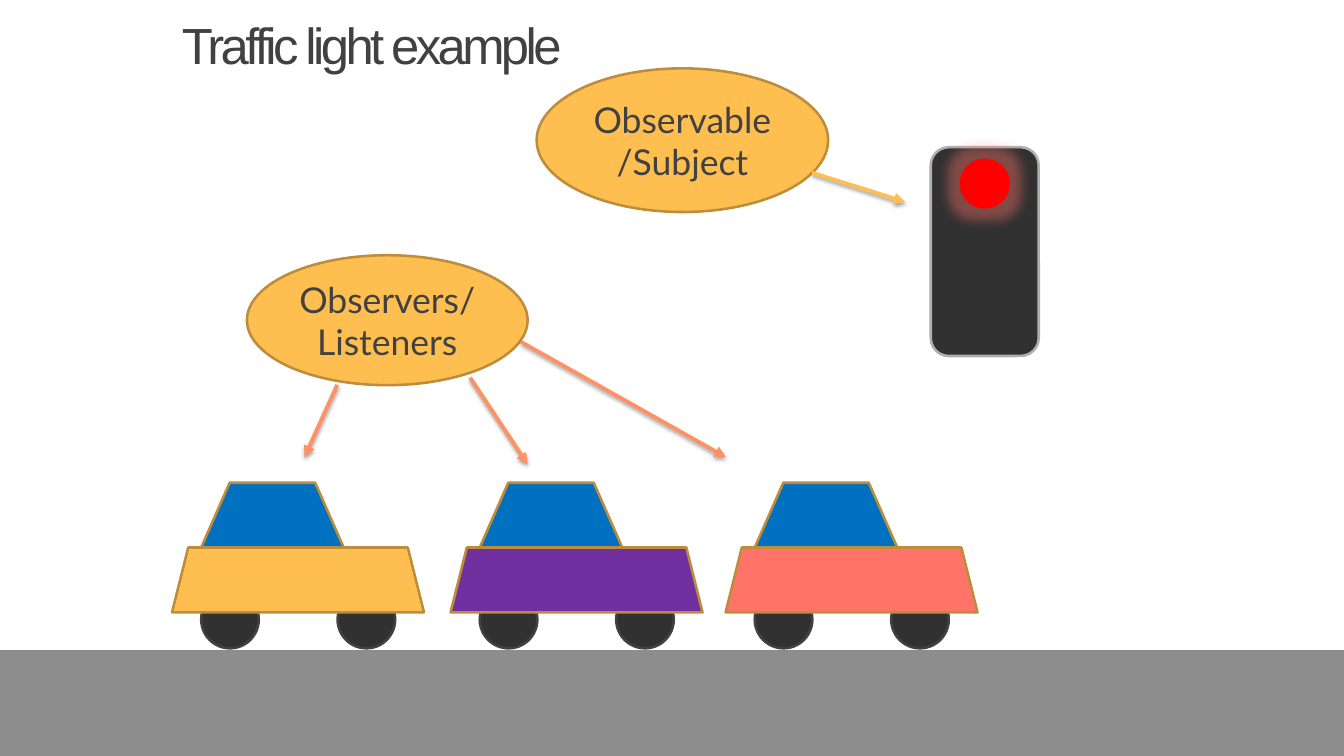
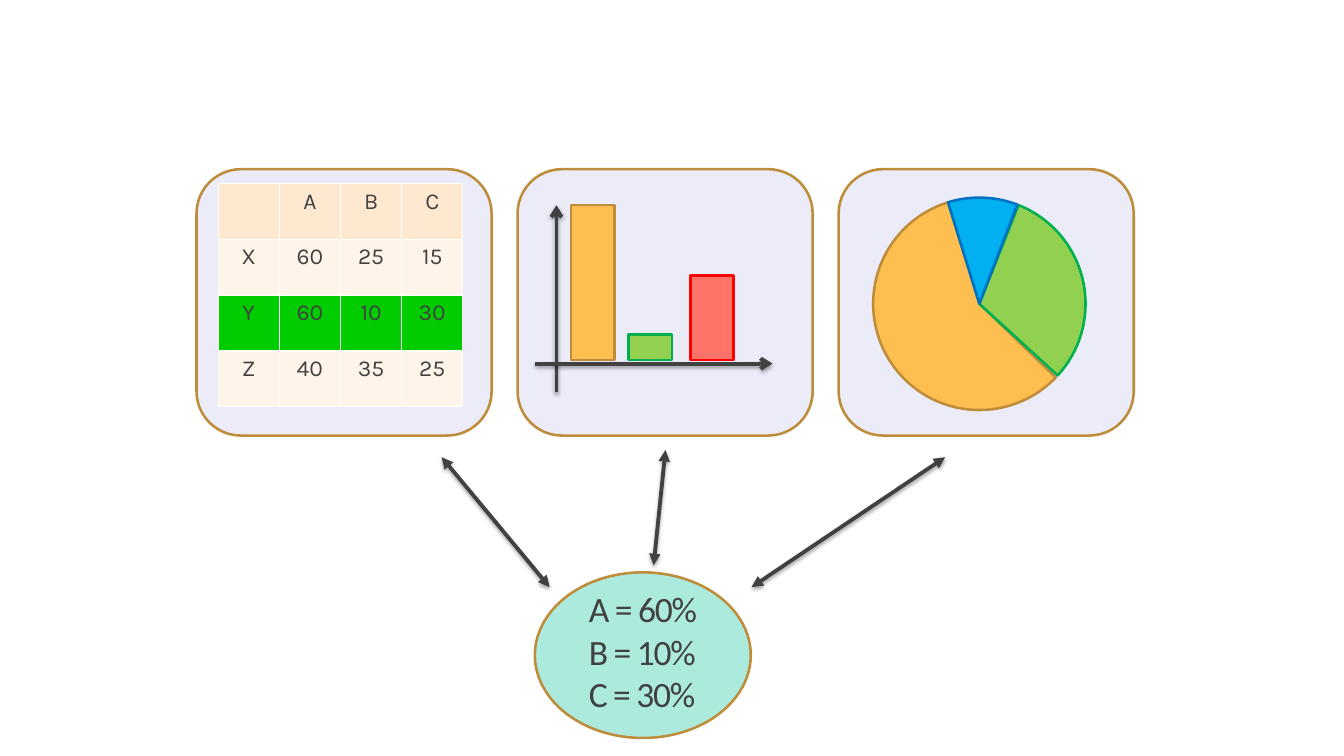
from lxml import etree
from pptx import Presentation
from pptx.dml.color import RGBColor
from pptx.enum.shapes import MSO_CONNECTOR, MSO_SHAPE
from pptx.enum.text import MSO_ANCHOR, MSO_AUTO_SIZE, PP_ALIGN
from pptx.oxml import parse_xml
from pptx.oxml.ns import nsdecls, qn
from pptx.util import Cm, Pt

STRAIGHT = MSO_CONNECTOR.STRAIGHT
OVAL, RECT, ROUNDED = MSO_SHAPE.OVAL, MSO_SHAPE.RECTANGLE, MSO_SHAPE.ROUNDED_RECTANGLE
TRAPEZOID, PIE = MSO_SHAPE.TRAPEZOID, MSO_SHAPE.PIE
LEFT, CENTER = PP_ALIGN.LEFT, PP_ALIGN.CENTER
TOP, MIDDLE = MSO_ANCHOR.TOP, MSO_ANCHOR.MIDDLE
NO_FIT, FIT_SHAPE = MSO_AUTO_SIZE.NONE, MSO_AUTO_SIZE.SHAPE_TO_FIT_TEXT
TITLE_ONLY, BLANK = 5, 6

SLIDE_W, SLIDE_H = 37.34, 21.0
INK, DARK, WHITE = "414141", "313131", "FFFFFF"
AMBER, BRONZE, CORAL, ORANGE = "FFBE50", "BD8D3B", "FF7369", "FF9164"
RED, LIME, GREEN, SKY, BLUE = "FF0000", "92D050", "00B050", "00B0F0", "0070C0"
PURPLE, ROAD, RIM = "7030A0", "8D8D8D", "AFAFAF"
LILAC, MINT, PEACH, CREAM, HIGHLIGHT = "ECECF8", "ACEADE", "FFE8D0", "FFF4E9", "00CC00"


def rgb(value):
    return RGBColor.from_string(value)


def add_figure(shapes, kind, box, fill, outline, adjustments=()):
    figure = shapes.add_shape(kind, *map(Cm, box))
    figure.shadow.inherit = False
    figure.fill.solid()
    figure.fill.fore_color.rgb = rgb(fill)
    figure.line.color.rgb = rgb(outline)
    figure.line.width = Pt(2)
    for index, value in enumerate(adjustments):
        figure.adjustments[index] = value
    return figure


def write(paragraph, text, size, font, align, tracking=0):
    paragraph.alignment = align
    run = paragraph.add_run()
    run.text = text
    run.font.size = Pt(size)
    run.font.name = font
    run.font.color.rgb = rgb(INK)
    if tracking:
        run._r.get_or_add_rPr().set("spc", str(tracking))


def write_lines(frame, lines, size, font, align, tracking=0):
    for index, line in enumerate(lines):
        paragraph = frame.add_paragraph() if index else frame.paragraphs[0]
        write(paragraph, line, size, font, align, tracking)


def add_arrow(slide, start, end, color, ends=("tailEnd",), head="triangle"):
    arrow = slide.shapes.add_connector(STRAIGHT, *map(Cm, start + end))
    arrow.line.color.rgb = rgb(color)
    arrow.line.width = Pt(3)
    properties = arrow._element.spPr
    line = properties.find(qn("a:ln"))
    for name in ends:
        etree.SubElement(line, qn("a:" + name), type=head)
    properties.append(parse_xml(
        f'<a:effectLst {nsdecls("a")}><a:outerShdw blurRad="39370" dist="22860" '
        'dir="5400000" rotWithShape="0"><a:srgbClr val="000000">'
        '<a:alpha val="35000"/></a:srgbClr></a:outerShdw></a:effectLst>'))


def add_title(slide, text):
    title = slide.shapes.title
    title.left, title.top, title.width, title.height = map(Cm, (5.05, 0.51, 26.8, 2.59))
    frame = title.text_frame
    frame.auto_size = NO_FIT
    frame.vertical_anchor = TOP
    frame.margin_left = frame.margin_right = frame.margin_bottom = 0
    frame.margin_top = Cm(0.3)
    frame.paragraphs[0].line_spacing = 0.73
    write(frame.paragraphs[0], text, 40, "Arial", LEFT, -280)


def add_role(slide, box, lines):
    role = add_figure(slide.shapes, OVAL, box, AMBER, BRONZE)
    frame = role.text_frame
    frame.word_wrap = True
    frame.vertical_anchor = MIDDLE
    write_lines(frame, lines, 28, "Lato", CENTER)


def add_traffic_light(slide, left, top):
    add_figure(slide.shapes, ROUNDED, (left, top, 3.0, 5.8), DARK, RIM)
    lamp = add_figure(slide.shapes, OVAL, (left + 0.84, top + 0.35, 1.32, 1.32), RED, RED)
    effects = lamp._element.spPr.find(qn("a:effectLst"))
    effects.append(parse_xml(
        f'<a:glow {nsdecls("a")} rad="228600"><a:srgbClr val="{CORAL}">'
        '<a:alpha val="40000"/></a:srgbClr></a:glow>'))


def add_car(slide, left, top, paint):
    parts = slide.shapes.add_group_shape().shapes
    for offset in (0.81, 4.6):
        add_figure(parts, OVAL, (left + offset, top + 3.0, 1.6, 1.6), DARK, INK)
    add_figure(parts, TRAPEZOID, (left, top + 1.8, 7.0, 1.8), paint, BRONZE)
    add_figure(parts, TRAPEZOID, (left + 0.81, top, 3.96, 1.8), BLUE, BRONZE, (0.44,))


def add_table(slide, left, top):
    rows = (("", "A", "B", "C"), ("X", "60", "25", "15"),
            ("Y", "60", "10", "30"), ("Z", "40", "35", "25"))
    fills = (PEACH, CREAM, HIGHLIGHT, CREAM)
    table = slide.shapes.add_table(4, 4, *map(Cm, (left, top, 6.8, 6.2))).table
    table.horz_banding = table.first_row = False
    for r, (values, fill) in enumerate(zip(rows, fills)):
        for c, value in enumerate(values):
            cell = table.cell(r, c)
            properties = cell._tc.get_or_add_tcPr()
            for side in ("lnL", "lnR", "lnT", "lnB"):
                properties.append(parse_xml(
                    f'<a:{side} {nsdecls("a")} w="12700"><a:solidFill>'
                    f'<a:srgbClr val="{WHITE}"/></a:solidFill></a:{side}>'))
            cell.fill.solid()
            cell.fill.fore_color.rgb = rgb(fill)
            if value:
                write(cell.text_frame.paragraphs[0], value, 18, "Karla", CENTER)


def add_bars(slide, left, top):
    add_arrow(slide, (left + 1.08, top + 6.2), (left + 1.08, top + 1.0), INK, head="arrow")
    add_arrow(slide, (left + 0.48, top + 5.4), (left + 7.08, top + 5.4), INK, head="arrow")
    bars = ((1.49, 4.3, AMBER, BRONZE), (3.09, 0.7, LIME, GREEN), (4.8, 2.34, CORAL, RED))
    for offset, height, fill, outline in bars:
        box = (left + offset, top + 5.3 - height, 1.2, height)
        add_figure(slide.shapes, RECT, box, fill, outline)


def add_pie(slide, left, top):
    slices = ((26.35, 151.74, AMBER, BRONZE), (175, 25.46, LIME, GREEN),
              (151.71, 174.58, SKY, BLUE))
    for start, end, fill, outline in slices:
        add_figure(slide.shapes, PIE, (left, top, 5.9, 5.9), fill, outline, (start, end))


def add_subject_state(slide, left, top):
    add_figure(slide.shapes, OVAL, (left, top, 6.0, 4.6), MINT, BRONZE)
    state = slide.shapes.add_textbox(*map(Cm, (left + 1.5, top + 0.61, 3.02, 3.48)))
    frame = state.text_frame
    frame.word_wrap = False
    frame.auto_size = FIT_SHAPE
    frame.margin_left = frame.margin_right = frame.margin_top = frame.margin_bottom = 0
    write_lines(frame, ("A = 60%", "B = 10%", "C = 30%"), 28, "Calibri", LEFT, -100)
    for paragraph in frame.paragraphs:
        paragraph.line_spacing = 0.83
        paragraph.space_before = Pt(5.6)


def build_traffic_slide(deck):
    slide = deck.slides.add_slide(deck.slide_layouts[TITLE_ONLY])
    add_title(slide, "Traffic light example")
    add_traffic_light(slide, 25.86, 4.09)
    for left, paint in ((4.78, AMBER), (12.52, PURPLE), (20.16, CORAL)):
        add_car(slide, left, 13.41, paint)
    add_role(slide, (6.86, 7.09, 7.8, 3.61), ("Observers/", "Listeners"))
    for start, end in (((9.37, 10.69), (8.46, 12.7)), ((13.06, 10.49), (14.66, 12.9)),
                       ((14.48, 9.5), (20.17, 12.7))):
        add_arrow(slide, start, end, ORANGE)
    add_role(slide, (14.91, 1.9, 8.1, 3.99), ("Observable/Subject",))
    add_arrow(slide, (22.56, 4.8), (25.15, 5.61), AMBER)
    add_figure(slide.shapes, RECT, (0, 18.1, SLIDE_W, SLIDE_H - 18.1), ROAD, ROAD)


def build_views_slide(deck):
    slide = deck.slides.add_slide(deck.slide_layouts[BLANK])
    add_subject_state(slide, 14.86, 15.9)
    top = 4.7
    table_left, bars_left, pie_left = panels = [5.46 + 8.92 * i for i in range(3)]
    for left in panels:
        add_figure(slide.shapes, ROUNDED, (left, top, 8.2, 7.4), LILAC, BRONZE)
    add_table(slide, table_left + 0.6, top + 0.4)
    add_bars(slide, bars_left, top)
    add_pie(slide, pie_left + 0.96, top + 0.79)
    for start, end in (((12.27, 12.7), (15.27, 16.31)), ((18.49, 12.5), (18.16, 15.7)),
                       ((26.26, 12.7), (20.88, 16.31))):
        add_arrow(slide, start, end, INK, ("headEnd", "tailEnd"))


def main():
    deck = Presentation()
    deck.slide_width, deck.slide_height = Cm(SLIDE_W), Cm(SLIDE_H)
    build_traffic_slide(deck)
    build_views_slide(deck)
    deck.save("out.pptx")


if __name__ == "__main__":
    main()
